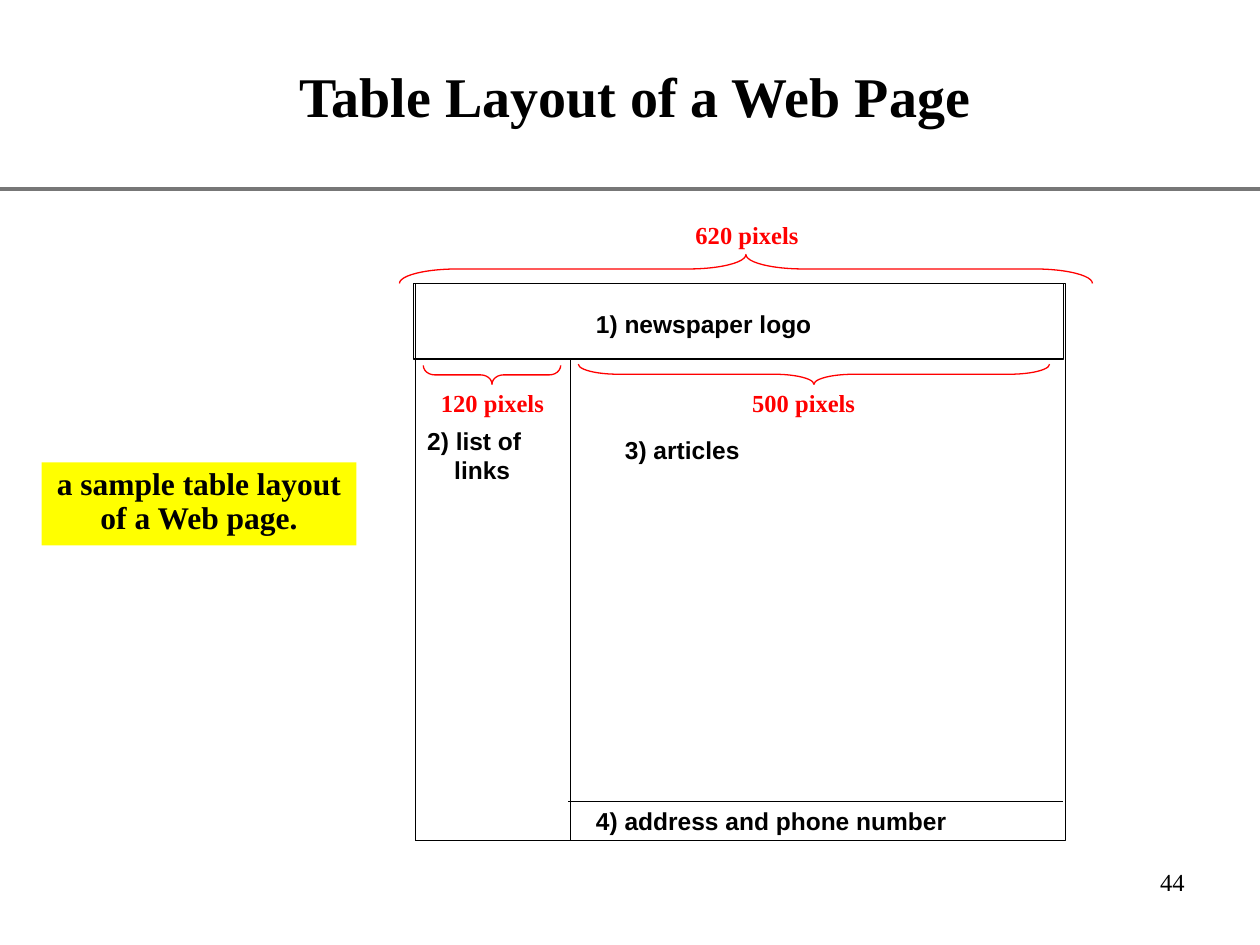
from dataclasses import dataclass
from typing import NamedTuple

from lxml import etree
from pptx import Presentation
from pptx import util as u
from pptx.dml.color import RGBColor
from pptx.enum import shapes, text
from pptx.oxml import ns


@dataclass(frozen=True)
class Theme:
    black: str = "000000"
    red: str = "FF0000"
    yellow: str = "FFFF00"
    grey: str = "777777"
    serif: str = "Times New Roman"
    sans: str = "Arial"
    title: int = 32
    callout: int = 18
    label: int = 14
    thin: float = 0.75
    rule: float = 2


THEME = Theme()
COLUMNS, ROWS = 100, 75

deck = Presentation()
deck.slide_width, deck.slide_height = u.Inches(10), u.Inches(7.5)


class Area(NamedTuple):
    """A place on the grid: left column, top row, columns wide, rows high."""
    col: float
    row: float
    cols: float
    rows: float


class Label(NamedTuple):
    area: Area
    lines: tuple
    font: str = THEME.sans
    color: str = THEME.black


class Brace(NamedTuple):
    area: Area
    up: bool
    curve: float


def across(columns: float) -> int:
    return round(deck.slide_width * columns / COLUMNS)


def down(rows: float) -> int:
    return round(deck.slide_height * rows / ROWS)


def place(area: Area) -> tuple:
    return across(area.col), down(area.row), across(area.cols), down(area.rows)


def write(frame, lines: tuple, size: int, font: str = THEME.serif,
          color: str = THEME.black, bold: bool = True, **para_format) -> None:
    for index, line in enumerate(lines):
        para = frame.add_paragraph() if index else frame.paragraphs[0]
        for name, value in para_format.items():
            setattr(para, name, value)
        span = para.add_run()
        span.text = line
        values = {"name": font, "size": u.Pt(size), "bold": bold}
        for name, value in values.items():
            setattr(span.font, name, value)
        span.font.color.rgb = RGBColor.from_string(color)


def add_shape(page, kind, area: Area, fill: str = "", line: str = ""):
    shape = page.shapes.add_shape(kind, *place(area))
    shape.shadow.inherit = False
    if fill:
        shape.fill.solid()
        shape.fill.fore_color.rgb = RGBColor.from_string(fill)
    else:
        shape.fill.background()
    if line:
        shape.line.color.rgb = RGBColor.from_string(line)
        shape.line.width = u.Pt(THEME.thin)
    else:
        shape.line.fill.background()
    return shape


def add_line(page, col: float, row: float, cols: float, color: str, width: float) -> None:
    line = page.shapes.add_connector(
        shapes.MSO_CONNECTOR.STRAIGHT,
        across(col), down(row), across(col + cols), down(row))
    line.line.color.rgb = RGBColor.from_string(color)
    line.line.width = u.Pt(width)
    etree.SubElement(line._element.spPr, ns.qn("a:effectLst"))


def add_label(page, label: Label):
    box = page.shapes.add_textbox(*place(label.area))
    frame = box.text_frame
    values = {"margin_left": 0, "margin_right": 0, "margin_top": 0,
              "margin_bottom": 0, "word_wrap": False,
              "auto_size": text.MSO_AUTO_SIZE.NONE}
    for name, value in values.items():
        setattr(frame, name, value)
    write(frame, label.lines, THEME.label, label.font, label.color)
    return frame


def add_brace(page, brace: Brace) -> None:
    """Turn an upright left brace about its centre so that it spans the area."""
    col, row, cols, rows = brace.area
    upright = Area(col + (cols - rows) / 2, row + (rows - cols) / 2, rows, cols)
    shape = add_shape(page, shapes.MSO_SHAPE.LEFT_BRACE, upright, line=THEME.red)
    shape.rotation = 90 if brace.up else 270
    shape.adjustments[0] = brace.curve


def pixels(col: float, row: float, count: int) -> Label:
    return Label(Area(col, row, 8.4, 2.3), (f"{count} pixels",), THEME.serif, THEME.red)


# Parts of the sketched web page
CELLS = (
    Area(33, 28.5, 12.3, 38.2),
    Area(33, 22.5, 51.6, 44.2),
    Area(32.8, 22.5, 51.6, 6),
)
LABELS = (
    Label(Area(47.3, 64, 28.5, 2.3), ("4) address and phone number",)),
    Label(Area(47.3, 24.5, 18, 2.3), ("1) newspaper logo",)),
    Label(Area(49.6, 34.5, 10, 2.3), ("3) articles",)),
    pixels(55.2, 17.5, 620),
    pixels(59.7, 30.8, 500),
    pixels(35, 30.8, 120),
)
LINKS = Label(Area(33.9, 33.8, 8.5, 4.7), ("2) list of", "links"))
BRACES = (
    Brace(Area(31.7, 20.2, 55, 2.3), True, 2),
    Brace(Area(45.9, 28.9, 37.4, 1.6), False, 2),
    Brace(Area(33.6, 29, 10.9, 1.5), False, 0.6),
)


def main() -> None:
    page = deck.slides.add_slide(deck.slide_layouts[5])

    # Heading and the rule below it
    add_line(page, 0, 15, COLUMNS, THEME.grey, THEME.rule)
    title = page.shapes.title
    title.left, title.top, title.width, title.height = place(Area(12.5, 1.7, 75.8, 11.7))
    title.text_frame.vertical_anchor = text.MSO_ANCHOR.MIDDLE
    write(title.text_frame, ("Table Layout of a Web Page",), THEME.title,
          alignment=text.PP_ALIGN.CENTER)

    # Page number
    number = page.shapes.add_textbox(*place(Area(74.2, 68.3, 20.8, 5)))
    number.text_frame.word_wrap = True
    write(number.text_frame, ("44",), THEME.label, bold=False,
          alignment=text.PP_ALIGN.RIGHT)

    # Callout
    callout = add_shape(page, shapes.MSO_SHAPE.RECTANGLE,
                        Area(3.3, 36.7, 25, 6.6), fill=THEME.yellow)
    callout.text_frame.vertical_anchor = text.MSO_ANCHOR.TOP
    write(callout.text_frame, ("a sample table layout of a Web page.",),
          THEME.callout, alignment=text.PP_ALIGN.CENTER, line_spacing=0.9)

    # Sketched layout
    for cell in CELLS:
        add_shape(page, shapes.MSO_SHAPE.RECTANGLE, cell, line=THEME.black)
    add_line(page, 45.1, 63.6, 39.3, THEME.black, THEME.thin)
    for label in LABELS:
        add_label(page, label)
    links = add_label(page, LINKS)
    links.paragraphs[1]._p.get_or_add_pPr().set("marL", str(across(2.15)))
    for brace in BRACES:
        add_brace(page, brace)

    deck.save("out.pptx")


if __name__ == "__main__":
    main()
